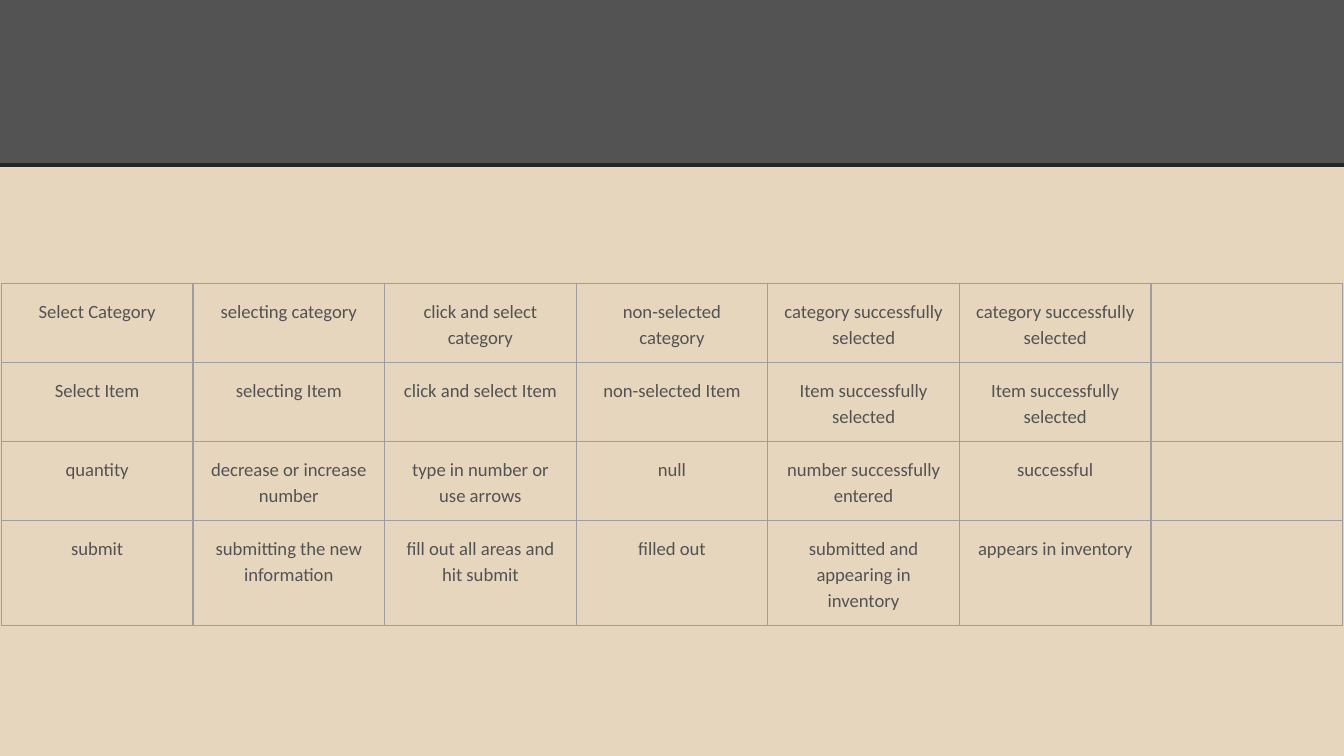
"""Build a slide with a dark header band and a test-case table."""
from pptx import Presentation
from pptx.dml.color import RGBColor
from pptx.enum.shapes import MSO_CONNECTOR as Connector, MSO_SHAPE as Shape
from pptx.enum.text import PP_ALIGN as Align
from pptx.oxml import parse_xml
from pptx.oxml.ns import nsdecls
from pptx.util import Inches, Pt

SAND = RGBColor(0xE6, 0xD6, 0xBD)
GRAY = RGBColor(0x53, 0x53, 0x53)
DARK = RGBColor(0x26, 0x26, 0x26)
BORDER = RGBColor(0x9E, 0x9E, 0x9E)

ROWS = [
    ["Select Category", "selecting category", "click and select category",
     "non-selected category", "category successfully selected",
     "category successfully selected", ""],
    ["Select Item", "selecting Item", "click and select Item",
     "non-selected Item", "Item successfully selected",
     "Item successfully selected", ""],
    ["quantity", "decrease or increase number", "type in number or use arrows",
     "null", "number successfully entered", "successful", ""],
    ["submit", "submitting the new information",
     "fill out all areas and hit submit", "filled out",
     "submitted and appearing in inventory", "appears in inventory", ""],
]
ROW_HEIGHTS = [0.32, 0.32, 0.32, 0.42]


def write_text(cell, text, size=10, font="Calibri", color=GRAY, spacing=1.15):
    paragraph = cell.text_frame.paragraphs[0]
    paragraph.alignment = Align.CENTER
    paragraph.line_spacing = spacing
    paragraph.font.size = Pt(size)
    if text:
        run = paragraph.add_run()
        run.text = text
        run.font.size = Pt(size)
        run.font.name = font
        run.font.color.rgb = color


def add_borders(cell, color=BORDER, width=0.75):
    properties = cell._tc.get_or_add_tcPr()
    for index, side in enumerate(["lnL", "lnR", "lnT", "lnB"]):
        properties.insert(index, parse_xml(
            f'<a:{side} {nsdecls("a")} w="{Pt(width)}"><a:solidFill>'
            f'<a:srgbClr val="{color}"/></a:solidFill></a:{side}>'))


presentation = Presentation()
presentation.slide_width = width = Inches(10)
presentation.slide_height = width * 9 // 16
slide = presentation.slides.add_slide(presentation.slide_layouts[6])
slide.background.fill.solid()
slide.background.fill.fore_color.rgb = SAND

header_height = Inches(1.23)
header = slide.shapes.add_shape(Shape.RECTANGLE, 0, 0, width, header_height)
header.shadow.inherit = False
header.fill.solid()
header.fill.fore_color.rgb = GRAY
header.line.fill.background()

rule = slide.shapes.add_connector(
    Connector.STRAIGHT, 0, header_height, width, header_height)
rule.line.color.rgb = DARK
rule.line.width = Pt(2.25)
rule._element.spPr.append(parse_xml(f'<a:effectLst {nsdecls("a")}/>'))

margin = Inches(0.01)
table_width = width - 2 * margin
table = slide.shapes.add_table(
    len(ROWS), len(ROWS[0]), margin, Inches(2.11),
    table_width, Inches(sum(ROW_HEIGHTS))).table
table.first_row = False
table.horz_banding = False
for column in table.columns:
    column.width = table_width // len(ROWS[0])

for row, height, texts in zip(table.rows, ROW_HEIGHTS, ROWS):
    row.height = Inches(height)
    for cell, text in zip(row.cells, texts):
        cell.margin_left = cell.margin_right = Inches(0.1)
        cell.margin_top = cell.margin_bottom = Inches(0.1)
        cell.fill.solid()
        cell.fill.fore_color.rgb = SAND
        add_borders(cell)
        write_text(cell, text)

presentation.save("out.pptx")
